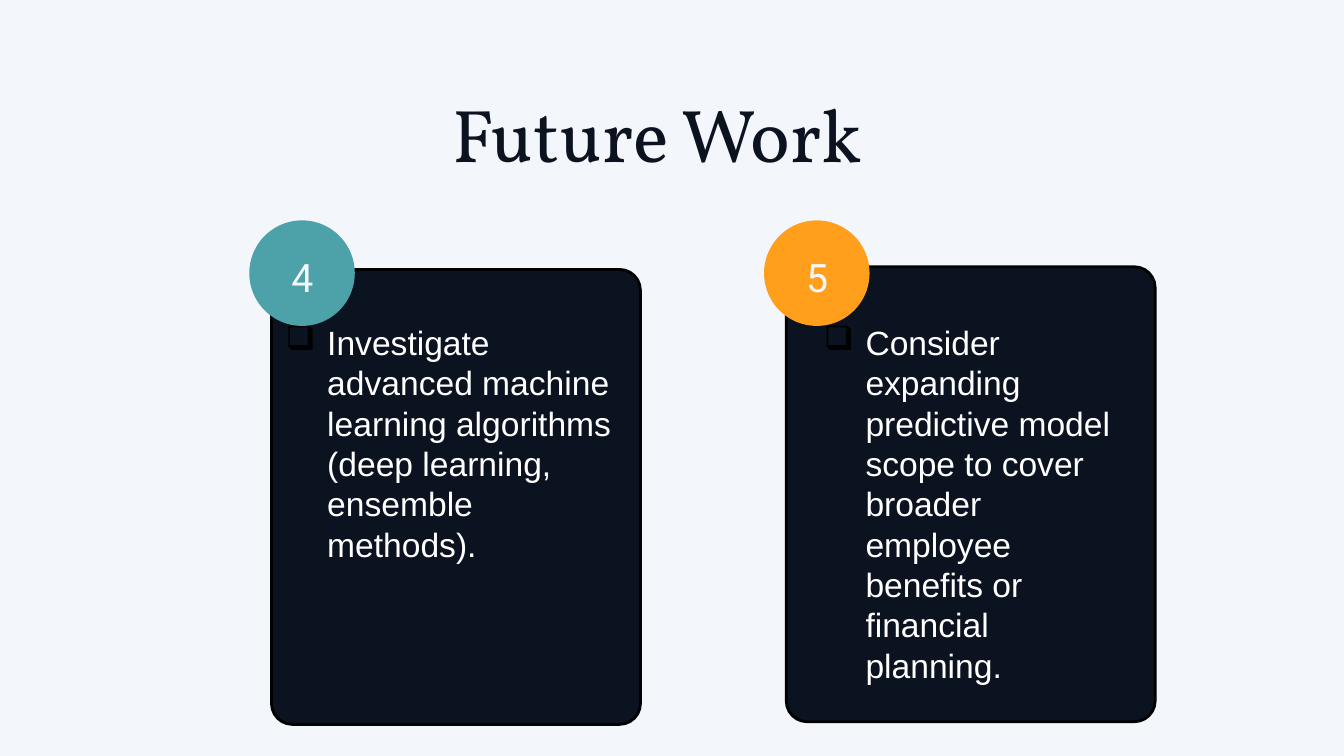
from dataclasses import dataclass

from lxml.etree import SubElement
from pptx import Presentation
from pptx.dml.color import RGBColor as Rgb
from pptx.enum.shapes import MSO_SHAPE as Kind
from pptx.enum.text import MSO_ANCHOR as Anchor, MSO_AUTO_SIZE as Fit, PP_ALIGN as Align
from pptx.oxml.ns import qn
from pptx.util import Inches, Pt


@dataclass(frozen=True)
class Theme:
    pale: str = "F3F6FA"
    navy: str = "0B1320"
    black: str = "000000"
    white: str = "FFFFFF"
    teal: str = "4DA1A9"
    amber: str = "FF9F1C"
    title: int = 80
    badge: int = 42
    body: int = 36


theme = Theme()


def write(box, text, font, size, color, align=Align.LEFT, anchor=Anchor.TOP,
          inset=0, lead=1.0, bullet=None, indent=0.62):
    frame = box.text_frame
    frame.word_wrap = True
    frame.auto_size = Fit.NONE
    frame.vertical_anchor = anchor
    frame.margin_left = frame.margin_right = Inches(inset)
    frame.margin_top = frame.margin_bottom = Inches(inset)
    para = frame.paragraphs[0]
    para.alignment = align
    para.line_spacing = lead
    if bullet:
        props = para._p.get_or_add_pPr()
        props.set("marL", str(Inches(indent)))
        props.set("indent", str(-Inches(indent)))
        tint = SubElement(props, qn("a:buClr"))
        SubElement(tint, qn("a:srgbClr"), val=theme.black)
        SubElement(props, qn("a:buChar"), char=bullet)
    run = para.add_run()
    run.text = text
    run.font.name = font
    run.font.size = Pt(size)
    run.font.color.rgb = Rgb.from_string(color)


def draw(kind, left, top, width, height, fill):
    shape = shapes.add_shape(kind, Inches(left), Inches(top), Inches(width), Inches(height))
    shape.shadow.inherit = False
    shape.fill.solid()
    shape.fill.fore_color.rgb = Rgb.from_string(fill)
    shape.line.fill.background()
    return shape


# Slide
deck = Presentation()
deck.slide_width, deck.slide_height = Inches(20), Inches(11.25)
slide = deck.slides.add_slide(deck.slide_layouts[5])
shapes = slide.shapes
slide.background.fill.solid()
slide.background.fill.fore_color.rgb = Rgb.from_string(theme.pale)

# Title
title = shapes.title
title.left, title.top = Inches(0.9), Inches(1.04)
title.width, title.height = Inches(17.76), Inches(1.62)
write(title, "Future Work", "Vollkorn", theme.title, theme.navy,
      align=Align.CENTER, lead=1.2)

# Cards: number, badge colour, card left and top, text left, width and height, text
cards = [
    ("4", theme.teal, 4.04, 4.01, 4.25, 5.14, 3.64,
     "Investigate advanced machine learning algorithms (deep learning, ensemble methods)."),
    ("5", theme.amber, 11.7, 3.97, 12.26, 4.36, 5.45,
     "Consider expanding predictive model scope to cover broader employee benefits "
     "or financial planning."),
]
for number, color, left, top, start, width, height, text in cards:
    # Panel
    panel = draw(Kind.ROUNDED_RECTANGLE, left, top, 5.49, 6.77, theme.navy)
    panel.adjustments[0] = 0.31 / 5.49
    panel.line.color.rgb = Rgb.from_string(theme.black)
    panel.line.width = Pt(3)

    # Bulleted text
    note = shapes.add_textbox(Inches(start), Inches(4.79), Inches(width), Inches(height))
    write(note, text, "Arial", theme.body, theme.white, bullet="❑")

    # Number badge
    edge = left - 0.33
    draw(Kind.OVAL, edge, 3.28, 1.57, 1.57, color)
    label = shapes.add_textbox(Inches(edge + 0.15), Inches(3.26), Inches(1.28), Inches(1.45))
    write(label, number, "Roboto", theme.badge, theme.pale, align=Align.CENTER,
          anchor=Anchor.MIDDLE, inset=0.06, lead=1.4)

deck.save("out.pptx")
